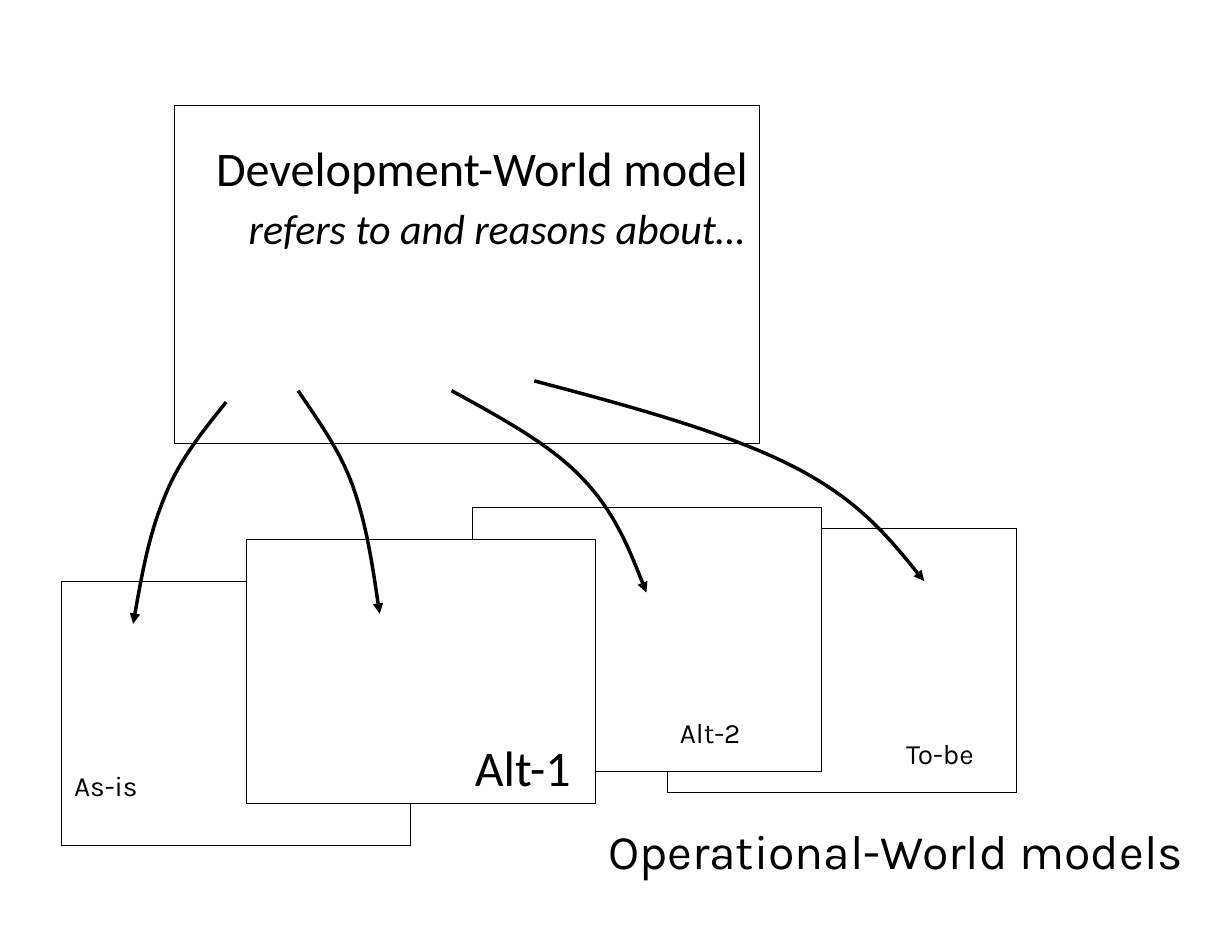
from lxml.etree import SubElement
from pptx import Presentation
from pptx.dml.color import RGBColor
from pptx.enum.shapes import MSO_SHAPE as Preset
from pptx.enum.text import MSO_ANCHOR as Anchor
from pptx.oxml.ns import qn
from pptx.util import Cm, Pt

BLACK = RGBColor(0, 0, 0)
WHITE = RGBColor(255, 255, 255)
CARD_SIZE = (7.92, 5.99)
LABEL_SIZE = (3.5, 1.68)


def write(paragraph, text, font="Karla", size=18, italic=False, color=BLACK, indent=0, before=0):
    properties = paragraph._p.get_or_add_pPr()
    properties.set("marL", str(Cm(indent)))
    properties.set("indent", "0")
    if before:
        paragraph.space_before = Pt(before)
    run = paragraph.add_run()
    run.text = text
    run.font.name = font
    run.font.size = Pt(size)
    run.font.italic = italic
    run.font.color.rgb = color


class ModelSlide:
    line_color = BLACK
    frame_width = Pt(0.75)
    arrow_width = Pt(2.25)

    def __init__(self, presentation):
        self.slide = presentation.slides.add_slide(presentation.slide_layouts[6])

    def frame(self, left, top, width, height, fill=WHITE):
        shape = self.slide.shapes.add_shape(
            Preset.RECTANGLE, Cm(left), Cm(top), Cm(width), Cm(height))
        shape.shadow.inherit = False
        if fill is None:
            shape.fill.background()
        else:
            shape.fill.solid()
            shape.fill.fore_color.rgb = fill
        shape.line.color.rgb = self.line_color
        shape.line.width = self.frame_width

    def text_box(self, left, top, width, height, anchor=Anchor.TOP, insets=(0.28, 0.15)):
        shape = self.slide.shapes.add_textbox(Cm(left), Cm(top), Cm(width), Cm(height))
        text_frame = shape.text_frame
        text_frame.word_wrap = True
        text_frame.vertical_anchor = anchor
        text_frame.margin_left = text_frame.margin_right = Cm(insets[0])
        text_frame.margin_top = text_frame.margin_bottom = Cm(insets[1])
        return text_frame

    def curved_arrow(self, points):
        start, *others = [(Cm(x), Cm(y)) for x, y in points]
        builder = self.slide.shapes.build_freeform(*start)
        builder.add_line_segments(others, close=False)
        shape = builder.convert_to_shape()
        segments = list(shape._element.iter(qn("a:lnTo")))
        outline = segments[0].getparent()
        for first in range(0, len(segments), 3):
            curve = SubElement(outline, qn("a:cubicBezTo"))
            for segment in segments[first:first + 3]:
                curve.append(segment[0])
                outline.remove(segment)
        shape.shadow.inherit = False
        shape.fill.background()
        shape.line.color.rgb = self.line_color
        shape.line.width = self.arrow_width
        SubElement(shape.line._get_or_add_ln(), qn("a:tailEnd"), type="triangle")


def main():
    presentation = Presentation()
    presentation.slide_width = Cm(27.94)
    presentation.slide_height = Cm(21.59)
    model_slide = ModelSlide(presentation)

    model_slide.frame(1.4, 13.18, *CARD_SIZE, fill=None)
    model_slide.frame(3.96, 2.39, 13.26, 7.67, fill=None)
    for left, top in [(15.14, 11.99), (10.72, 11.51), (5.59, 12.24)]:
        model_slide.frame(left, top, *CARD_SIZE)

    title = model_slide.text_box(4.65, 2.64, 17.7, 3.61, Anchor.MIDDLE, (0.25, 0.13))
    write(title.paragraphs[0], "Development-World model", font="Calibri", size=31)
    write(title.add_paragraph(), "refers to and reasons about…",
          font="Calibri", size=27, italic=True, indent=0.74, before=4)

    caption = model_slide.text_box(13.51, 18.47, 14.43, 1.93)
    write(caption.paragraphs[0], "Operational-World models", size=31)

    labels = [
        ("Alt-1", 10.49, 16.56, {"font": "Calibri", "size": 32}),
        ("Alt-2", 15.14, 16.08, {}),
        ("To-be", 20.27, 16.56, {}),
        ("As-is", 1.4, 17.27, {}),
    ]
    for text, left, top, style in labels:
        label = model_slide.text_box(left, top, *LABEL_SIZE)
        write(label.paragraphs[0], text, **style)

    arrows = [
        [(5.13, 9.12), (4.6, 9.78), (4.06, 10.44), (3.73, 11.28),
         (3.38, 12.12), (3.2, 13.13), (3.02, 14.15)],
        [(6.76, 8.86), (7.21, 9.53), (7.7, 10.19), (8, 11.02),
         (8.31, 11.89), (8.46, 12.9), (8.61, 13.92)],
        [(10.24, 8.86), (11.35, 9.47), (12.45, 10.06), (13.18, 10.82),
         (13.92, 11.58), (14.3, 12.52), (14.66, 13.44)],
        [(12.12, 8.64), (14.33, 9.22), (16.54, 9.83), (18.01, 10.59),
         (19.48, 11.35), (20.22, 12.27), (20.96, 13.18)],
    ]
    for points in arrows:
        model_slide.curved_arrow(points)

    presentation.save("out.pptx")


if __name__ == "__main__":
    main()
